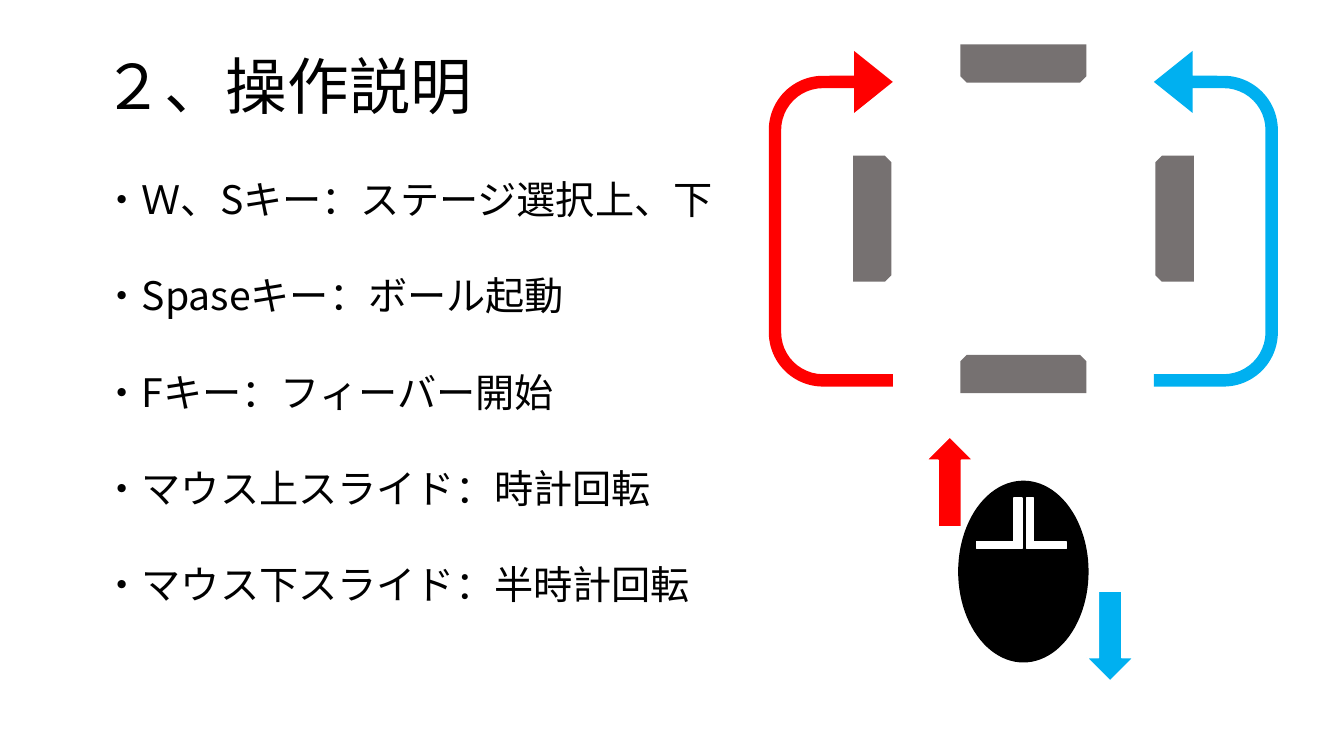
from dataclasses import dataclass

from lxml.etree import SubElement
from pptx import Presentation
from pptx.dml.color import RGBColor
from pptx.enum.shapes import MSO_SHAPE
from pptx.enum.text import MSO_ANCHOR
from pptx.oxml.ns import qn
from pptx.slide import Slide
from pptx.util import Inches, Pt

BLACK = RGBColor(0x00, 0x00, 0x00)
WHITE = RGBColor(0xFF, 0xFF, 0xFF)
RED = RGBColor(0xFF, 0x00, 0x00)
BLUE = RGBColor(0x00, 0xB0, 0xF0)
GRAY = RGBColor(0x76, 0x71, 0x71)

FONT = "Noto Sans CJK JP"
TITLE = "２、操作説明"
CONTROLS = [
    "・Ｗ、Sキー：ステージ選択上、下",
    "・Spaseキー：ボール起動",
    "・Fキー：フィーバー開始",
    "・マウス上スライド：時計回転",
    "・マウス下スライド：半時計回転",
]

STAGE_X, STAGE_Y = 10.15, 2.17
BUMPER_DX, BUMPER_DY = 1.5, 1.54
LOOP_DX = 1.91
BUMPER_SIZE = (1.25, 0.38)
LOOP_SIZE = (3.33, 1.23)
SLIDE_ARROW_SIZE = (0.46, 0.89)
LOOP_BENDS = (0.1, 0.25, 0.312, 0.438, 1)
BUTTON_BENDS = (0.152, 0.174)


@dataclass(frozen=True)
class Part:
    """A preset shape placed by its centre, in inches."""

    preset: MSO_SHAPE
    center: tuple[float, float]
    size: tuple[float, float]
    fill: RGBColor
    outline: RGBColor | None = None
    rotation: float = 0
    flipped: bool = False
    bends: tuple[float, ...] = ()


def draw_part(slide: Slide, part: Part) -> None:
    """Draw one part of the control diagram."""
    (x, y), (width, height) = part.center, part.size
    shape = slide.shapes.add_shape(
        part.preset, Inches(x - width / 2), Inches(y - height / 2),
        Inches(width), Inches(height),
    )
    shape.shadow.inherit = False
    shape.rotation = part.rotation
    for index, bend in enumerate(part.bends):
        shape.adjustments[index] = bend
    if part.flipped:
        shape._element.spPr.find(qn("a:xfrm")).set("flipH", "1")
    shape.fill.solid()
    shape.fill.fore_color.rgb = part.fill
    if part.outline is None:
        shape.line.fill.background()
    else:
        shape.line.color.rgb = part.outline
        shape.line.width = Pt(1)


def add_text(slide: Slide, lines: list[str], top: float, height: float, size: float,
             spacing: float, gap: float, anchor: MSO_ANCHOR) -> None:
    """Write lines as paragraphs of one text box."""
    frame = slide.shapes.add_textbox(
        Inches(0.92), Inches(top), Inches(11.5), Inches(height)
    ).text_frame
    frame.word_wrap = True
    frame.vertical_anchor = anchor
    for index, line in enumerate(lines):
        paragraph = frame.add_paragraph() if index else frame.paragraphs[0]
        paragraph.line_spacing = spacing
        paragraph.space_after = Pt(gap)
        run = paragraph.add_run()
        run.text = line
        run.font.size = Pt(size)
        run.font.name = FONT
        run.font.color.rgb = BLACK
        SubElement(run.font._element, qn("a:ea")).set("typeface", FONT)


def bumper(side_x: int, side_y: int, rotation: float) -> Part:
    """Return the bumper on one side of the stage."""
    center = (STAGE_X + side_x * BUMPER_DX, STAGE_Y + side_y * BUMPER_DY)
    return Part(MSO_SHAPE.SNIP_2_SAME_RECTANGLE, center, BUMPER_SIZE, GRAY,
                rotation=rotation)


def rotation_loop(side: int, color: RGBColor) -> Part:
    """Return the arrow that shows the turn on one side of the stage."""
    return Part(MSO_SHAPE.U_TURN_ARROW, (STAGE_X + side * LOOP_DX, STAGE_Y), LOOP_SIZE,
                color, rotation=side * 90 % 360, flipped=side > 0, bends=LOOP_BENDS)


def slide_arrow(center: tuple[float, float], color: RGBColor, rotation: float) -> Part:
    """Return the arrow of one mouse movement."""
    return Part(MSO_SHAPE.UP_ARROW, center, SLIDE_ARROW_SIZE, color, WHITE, rotation)


def mouse_button(x: float, width: float, flipped: bool) -> Part:
    """Return the edge of one mouse button."""
    return Part(MSO_SHAPE.CORNER, (x, 5.19), (width, 0.5), WHITE, WHITE,
                flipped=flipped, bends=BUTTON_BENDS)


def main() -> None:
    """Build the slide and save it."""
    presentation = Presentation()
    presentation.slide_width = Inches(13.33)
    presentation.slide_height = Inches(7.5)
    slide = presentation.slides.add_slide(presentation.slide_layouts[6])
    add_text(slide, [TITLE], 0.16, 1.45, 44, 0.9, 0, MSO_ANCHOR.MIDDLE)
    add_text(slide, CONTROLS, 1.81, 4.76, 28, 0.72, 44.6, MSO_ANCHOR.TOP)
    diagram = [
        Part(MSO_SHAPE.OVAL, (STAGE_X, 5.67), (1.28, 1.79), BLACK, BLACK),
        mouse_button(9.91, 0.45, True),
        mouse_button(10.38, 0.4, False),
        slide_arrow((9.42, 4.78), RED, 0),
        slide_arrow((11.01, 6.31), BLUE, 180),
        bumper(0, -1, 180),
        bumper(0, 1, 0),
        bumper(-1, 0, 90),
        bumper(1, 0, 270),
        rotation_loop(-1, RED),
        rotation_loop(1, BLUE),
    ]
    for part in diagram:
        draw_part(slide, part)
    presentation.save("out.pptx")


main()
